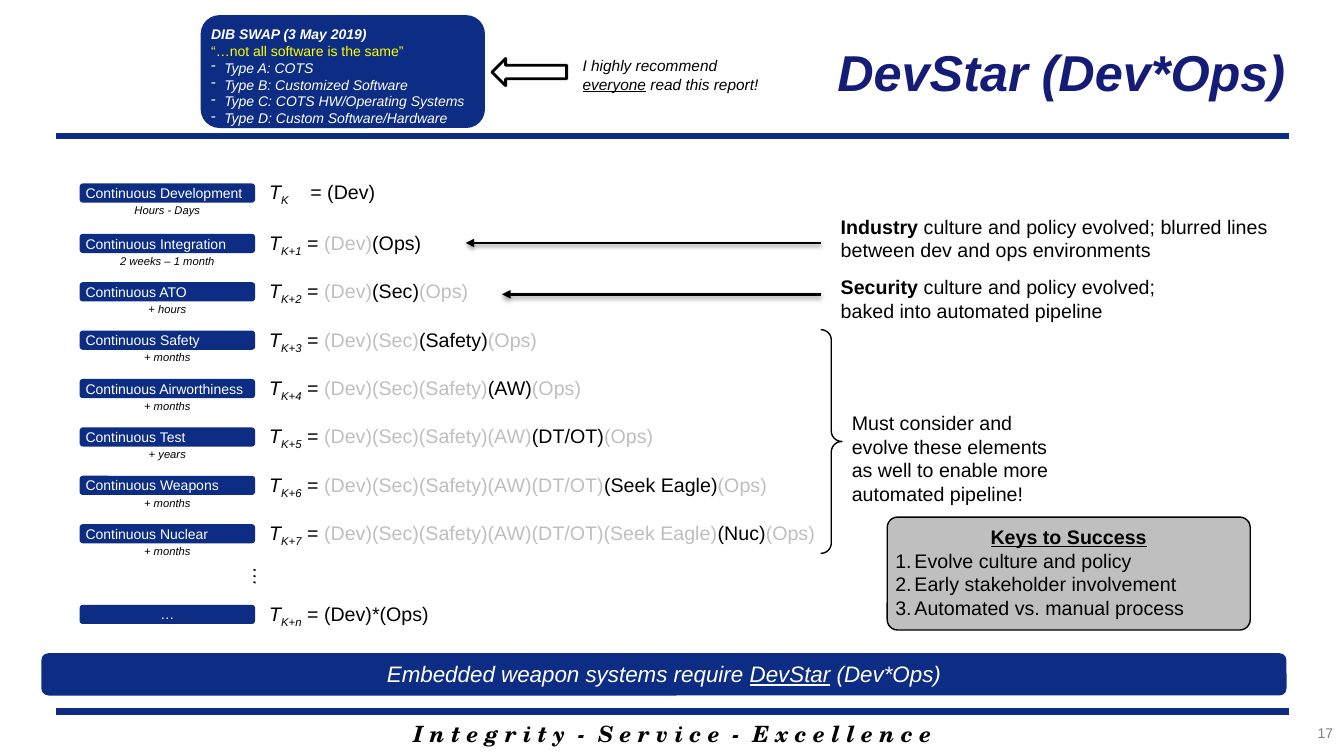
from lxml import etree
from pptx import Presentation
from pptx.dml.color import RGBColor
from pptx.enum.shapes import MSO_CONNECTOR, MSO_SHAPE
from pptx.enum.text import MSO_ANCHOR, MSO_AUTO_SIZE, PP_ALIGN
from pptx.oxml.ns import qn
from pptx.util import Inches, Pt

LEFT, CENTER, RIGHT = PP_ALIGN.LEFT, PP_ALIGN.CENTER, PP_ALIGN.RIGHT
TOP, MIDDLE = MSO_ANCHOR.TOP, MSO_ANCHOR.MIDDLE
ROUNDED, BRACE, ARROW = MSO_SHAPE.ROUNDED_RECTANGLE, MSO_SHAPE.RIGHT_BRACE, MSO_SHAPE.LEFT_ARROW
COLORS = {"navy": "0C2D83", "title": "151C77", "black": "000000", "white": "FFFFFF",
          "gray": "BFBFBF", "yellow": "FFFF00", "number": "7F7F7F"}

STAGES = [
    ("Continuous Development", "Hours - Days", 0.86, "K", "", "(Dev)", "", 1.27),
    ("Continuous Integration", "2 weeks – 1 month", 1.15, "K+1", "(Dev)", "(Ops)", "", 1.75),
    ("Continuous ATO", "+ hours", 0.58, "K+2", "(Dev)", "(Sec)", "(Ops)", 2.29),
    ("Continuous Safety", "+ months", 0.67, "K+3", "(Dev)(Sec)", "(Safety)", "(Ops)", 2.9),
    ("Continuous Airworthiness", "+ months", 0.67, "K+4", "(Dev)(Sec)(Safety)", "(AW)",
     "(Ops)", 3.34),
    ("Continuous Test", "+ years", 0.57, "K+5", "(Dev)(Sec)(Safety)(AW)", "(DT/OT)",
     "(Ops)", 4.06),
    ("Continuous Weapons", "+ months", 0.67, "K+6", "(Dev)(Sec)(Safety)(AW)(DT/OT)",
     "(Seek Eagle)", "(Ops)", 5.19),
    ("Continuous Nuclear", "+ months", 0.67, "K+7",
     "(Dev)(Sec)(Safety)(AW)(DT/OT)(Seek Eagle)", "(Nuc)", "(Ops)", 5.67),
]


def rgb(name):
    """Return the named colour."""
    return RGBColor.from_string(COLORS[name])


def add_runs(paragraph, runs, align=LEFT, **base):
    """Add (text, changes) runs that share a base style."""
    paragraph.alignment = align
    for text, changes in runs:
        style = {"size": 14, "color": "black", "font": "Arial", **base, **changes}
        run = paragraph.add_run()
        run.text = text
        run.font.name = style["font"]
        run.font.size = Pt(style["size"])
        run.font.color.rgb = rgb(style["color"])
        run.font.bold = style.get("bold", False)
        run.font.italic = style.get("italic", False)
        run.font.underline = style.get("underline", False)
        if "baseline" in style:
            run.font._element.set("baseline", str(style["baseline"]))


def add_item(frame, text, indent, tag, attribute, mark, **base):
    """Add a hanging paragraph with a bullet or number."""
    paragraph = frame.add_paragraph()
    properties = paragraph._p.get_or_add_pPr()
    properties.set("marL", str(Inches(indent)))
    properties.set("indent", str(-Inches(indent)))
    etree.SubElement(properties, qn(tag)).set(attribute, mark)
    add_runs(paragraph, [(text, {})], **base)


def add_text(slide, box, runs, wrap=True, **base):
    """Add a one-paragraph text box and return it."""
    textbox = slide.shapes.add_textbox(*map(Inches, box))
    textbox.text_frame.word_wrap = wrap
    add_runs(textbox.text_frame.paragraphs[0], runs, **base)
    return textbox


def add_panel(slide, kind, box, fill=None, line=None, adjust=(), inset=0.05, anchor=TOP):
    """Add a flat preset shape and return it."""
    panel = slide.shapes.add_shape(kind, *map(Inches, box))
    panel.shadow.inherit = False
    for index, value in enumerate(adjust):
        panel.adjustments[index] = value
    if fill:
        panel.fill.solid()
        panel.fill.fore_color.rgb = rgb(fill)
    else:
        panel.fill.background()
    if line:
        panel.line.color.rgb = rgb("black")
        panel.line.width = Pt(line)
    else:
        panel.line.fill.background()
    frame = panel.text_frame
    frame.word_wrap = True
    frame.vertical_anchor = anchor
    frame.margin_left = frame.margin_right = Inches(0.05)
    frame.margin_top = frame.margin_bottom = Inches(inset)
    return panel


def add_line(slide, start, end, y, color, width):
    """Add a horizontal line and return it with its effect list."""
    line = slide.shapes.add_connector(
        MSO_CONNECTOR.STRAIGHT, Inches(start), Inches(y), Inches(end), Inches(y))
    line.line.color.rgb = rgb(color)
    line.line.width = Pt(width)
    return line, etree.SubElement(line._element.spPr, qn("a:effectLst"))


def add_callout_arrow(slide, start, end, y):
    """Add a shadowed arrow pointing at a formula."""
    arrow, effects = add_line(slide, start, end, y, "black", 2)
    etree.SubElement(arrow.line._get_or_add_ln(), qn("a:tailEnd")).set("type", "triangle")
    shadow = etree.SubElement(effects, qn("a:outerShdw"), blurRad=str(Pt(3.1)),
                              dist=str(Pt(1.6)), dir="5400000", rotWithShape="0")
    shade = etree.SubElement(shadow, qn("a:srgbClr"), val=COLORS["black"])
    etree.SubElement(shade, qn("a:alpha"), val="38000")


def add_frame(slide):
    """Place the title, rules, motto and page number."""
    for y in (1.35, 7.06):
        add_line(slide, 0.56, 12.78, y, "navy", 4.5)
    title = slide.shapes.title
    title.left, title.top, title.width, title.height = map(Inches, (2.43, 0.08, 10.42, 1.25))
    title.text_frame.vertical_anchor = MIDDLE
    title.text_frame.auto_size = MSO_AUTO_SIZE.NONE
    add_runs(title.text_frame.paragraphs[0], [("DevStar (Dev*Ops)", {})], RIGHT,
             size=36, color="title", bold=True, italic=True)
    add_text(slide, (0.56, 7.1, 12.22, 0.37),
             [("I n t e g r i t y  -  S e r v i c e  -  E x c e l l e n c e", {})],
             align=CENTER, size=16, font="TeX Gyre Schola", bold=True, italic=True)
    add_text(slide, (11.65, 7.14, 1.67, 0.33), [("17", {})], align=RIGHT, size=10, color="number")


def add_report(slide, left, top):
    """Place the report summary and its recommendation."""
    report = add_panel(slide, ROUNDED, (left, top, 2.82, 1.12), "navy")
    frame = report.text_frame
    add_runs(frame.paragraphs[0], [("DIB SWAP (3 May 2019)", {})],
             size=10, color="white", bold=True, italic=True)
    add_runs(frame.add_paragraph(), [("“…not all software is the same”", {})],
             size=10, color="yellow")
    for software in ("Type A: COTS", "Type B: Customized Software",
                     "Type C: COTS HW/Operating Systems", "Type D: Custom Software/Hardware"):
        add_item(frame, software, 0.13, "a:buChar", "char", "-",
                 size=10, color="white", italic=True)
    add_panel(slide, ARROW, (left + 2.89, top + 0.43, 0.74, 0.27), "white", 2)
    add_text(slide, (left + 3.69, top + 0.36, 2.03, 0.47),
             [("I highly recommend ", {}), ("everyone", {"underline": True}),
              (" read this report!", {})], size=11, italic=True)


def add_stage(slide, left, top, label, subscript, formula, width, align=LEFT):
    """Place a stage label and its formula, and return the formula."""
    pill = add_panel(slide, ROUNDED, (left, top, 1.74, 0.19), "navy", adjust=[0.167],
                     inset=0, anchor=MIDDLE)
    add_runs(pill.text_frame.paragraphs[0], [(label, {})], align, size=10, color="white")
    name = [("T", {"italic": True}), (subscript, {"italic": True, "baseline": -25000})]
    return add_text(slide, (left + 1.78, top - 0.08, width, 0.34), name + formula, wrap=False)


def add_stages(slide, left, top):
    """Place the column of stages with their durations."""
    for index, (label, duration, span, subscript, before, focus, after, width) in enumerate(STAGES):
        y = top + 0.02 + 0.48 * index if index else top
        equals = " = " if index else "\t= "
        parts = [(equals, "black"), (before, "gray"), (focus, "black"), (after, "gray")]
        formula = add_stage(slide, left, y, label, subscript,
                            [(text, {"color": color}) for text, color in parts if text], width)
        if not index:
            properties = formula.text_frame.paragraphs[0]._p.get_or_add_pPr()
            tabs = etree.SubElement(properties, qn("a:tabLst"))
            etree.SubElement(tabs, qn("a:tab"), pos=str(Inches(0.41)), algn="l")
        add_text(slide, (left + 0.87 - span / 2, y + 0.15, span, 0.24), [(duration, {})],
                 wrap=False, align=CENTER, size=8, italic=True)
    add_stage(slide, left, top + 4.18, "…", "K+n", [(" = (Dev)*(Ops)", {})], 1.83, CENTER)
    ellipsis = add_text(slide, (left + 1.6, top + 3.74, 0.4, 0.34), [("…", {})],
                        wrap=False, italic=True)
    ellipsis.rotation = 90


def add_comments(slide, left, top):
    """Place the remarks, arrows and brace beside the formulas."""
    bold = {"bold": True}
    add_text(slide, (left + 0.1, top, 4.45, 0.57),
             [("Industry", bold),
              (" culture and policy evolved; blurred lines between dev and ops environments", {})])
    add_text(slide, (left + 0.1, top + 0.6, 3.56, 0.57),
             [("Security", bold), (" culture and policy evolved; baked into automated pipeline", {})])
    add_callout_arrow(slide, left, 4.62, top + 0.33)
    add_callout_arrow(slide, left, 4.98, top + 0.84)
    add_panel(slide, BRACE, (left, top + 1.19, 0.21, 2.22), line=1, adjust=[0.485, 0.5])
    add_text(slide, (left + 0.21, top + 1.95, 2.33, 1.04),
             [("Must consider and evolve these elements as well to enable more "
               "automated pipeline!", {})])


def add_keys(slide, box):
    """Place the numbered keys to success."""
    frame = add_panel(slide, ROUNDED, box, "gray", 1, [0.092]).text_frame
    add_runs(frame.paragraphs[0], [("Keys to Success", {})], CENTER, bold=True, underline=True)
    for key in ("Evolve culture and policy", "Early stakeholder involvement",
                "Automated vs. manual process"):
        add_item(frame, key, 0.19, "a:buAutoNum", "type", "arabicPeriod")


def add_banner(slide, box):
    """Place the concluding banner."""
    banner = add_panel(slide, ROUNDED, box, "navy", adjust=[0.167])
    add_runs(banner.text_frame.paragraphs[0],
             [("Embedded weapon systems require ", {}), ("DevStar", {"underline": True}),
              (" (Dev*Ops)", {})], CENTER, size=16, color="white", italic=True)


def main():
    """Build and save the slide."""
    deck = Presentation()
    deck.slide_width, deck.slide_height = Inches(13.33), Inches(7.5)
    slide = deck.slides.add_slide(deck.slide_layouts[5])
    add_frame(slide)
    add_banner(slide, (0.41, 6.48, 12.35, 0.42))
    add_stages(slide, 0.79, 1.82)
    add_keys(slide, (8.8, 5.13, 3.6, 1.12))
    add_comments(slide, 8.14, 2.08)
    add_report(slide, 1.99, 0.15)
    deck.save("out.pptx")


if __name__ == "__main__":
    main()
